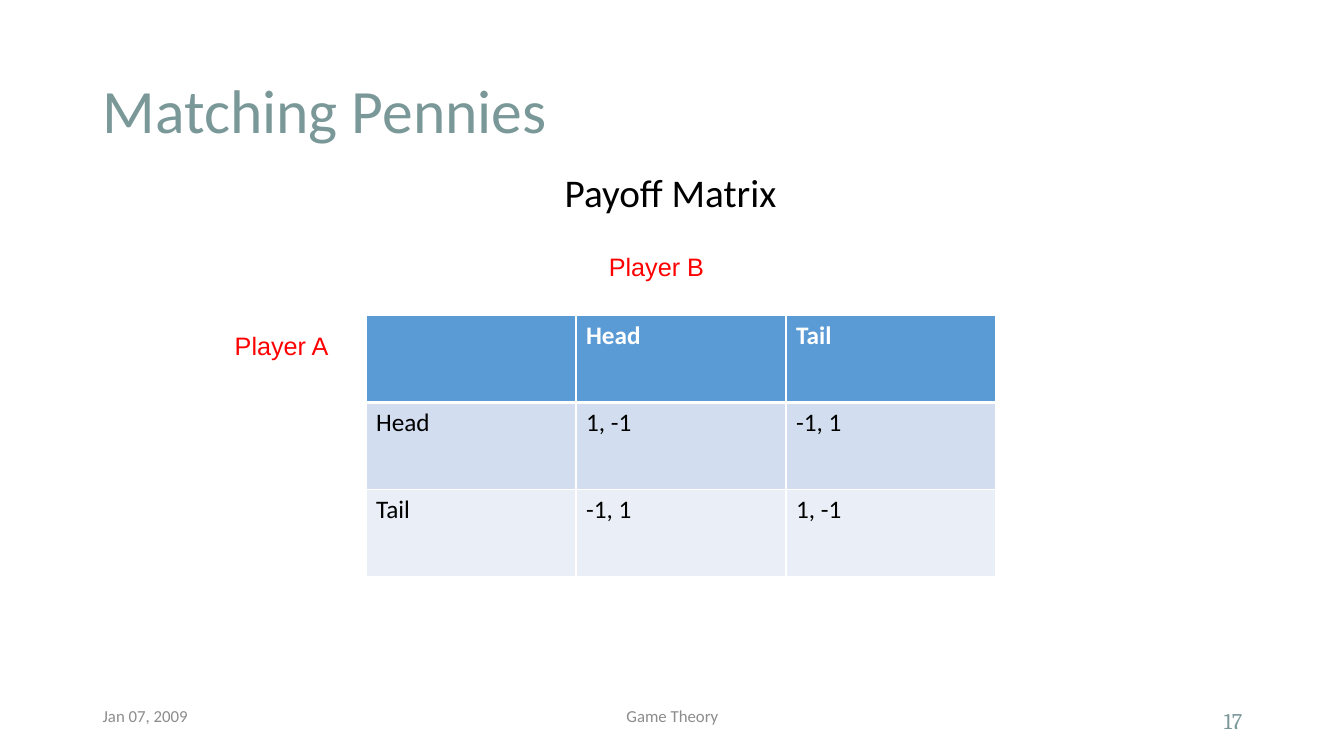
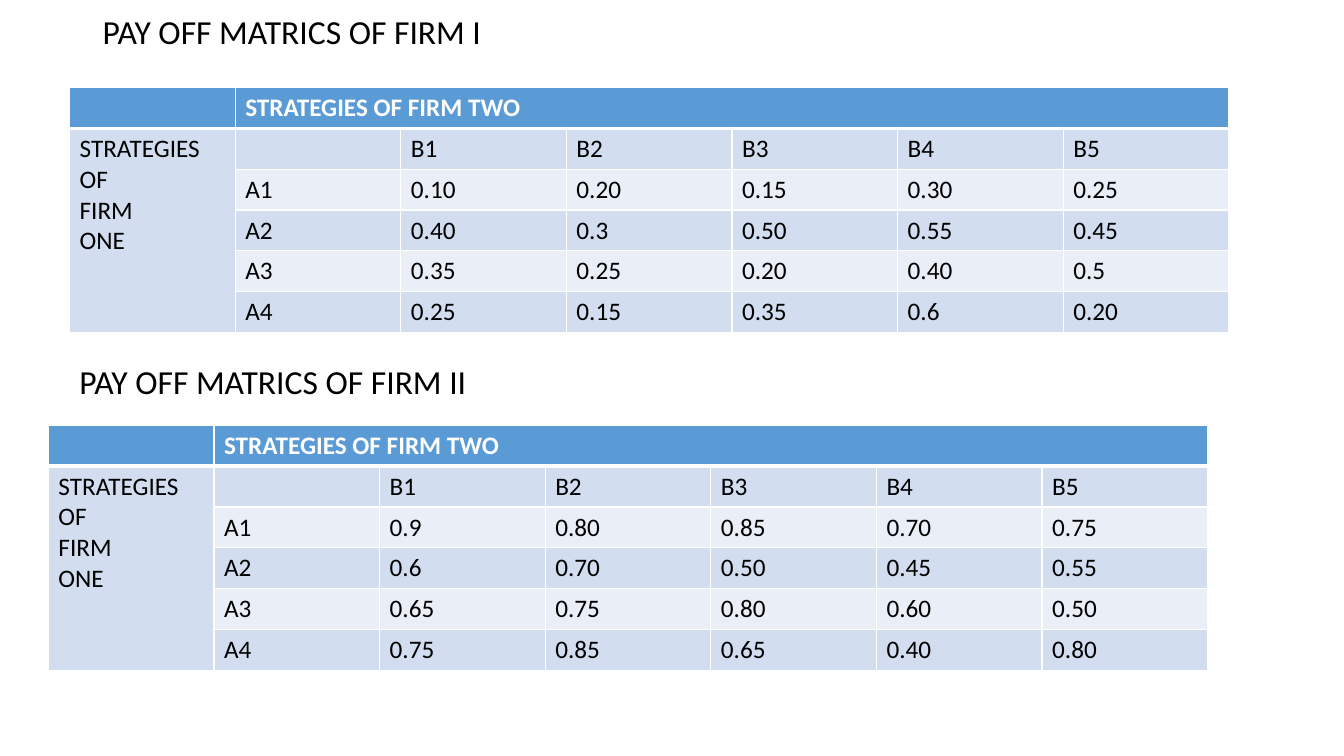
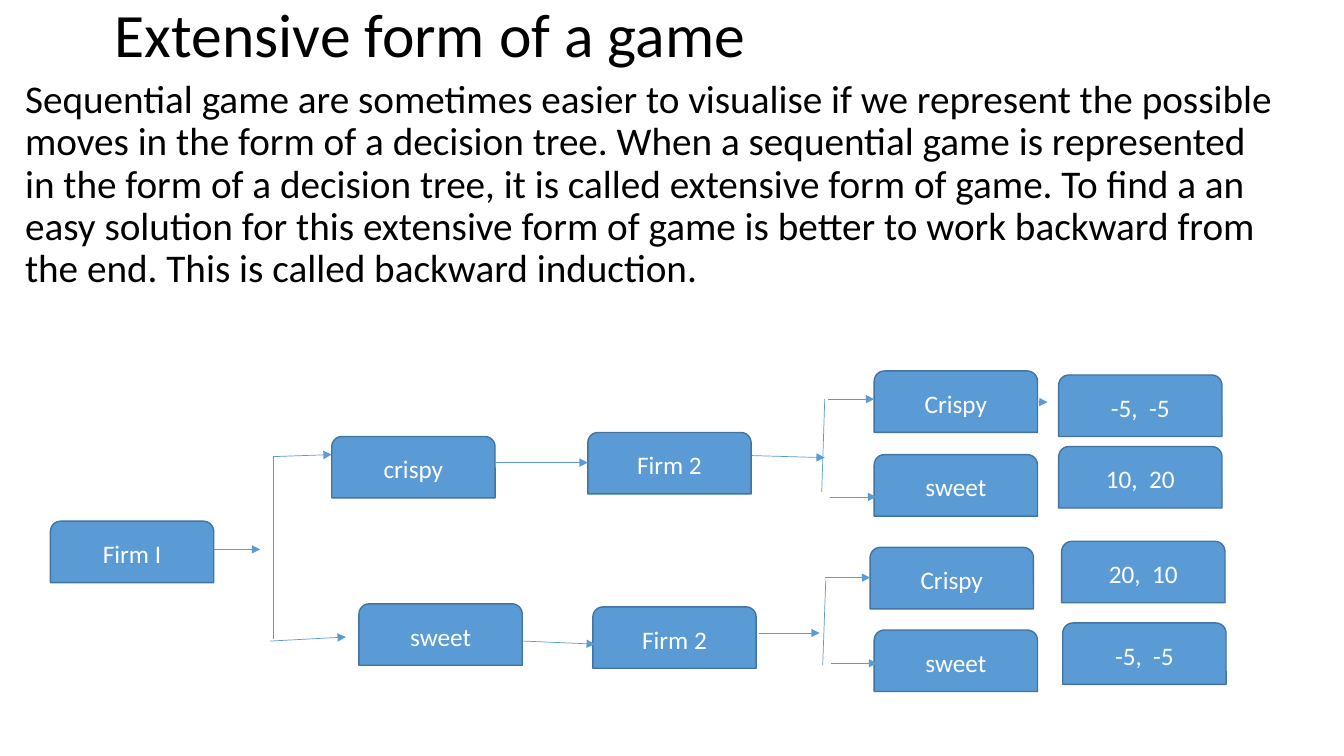
"""Build three game theory slides: two sets of payoff tables and a decision tree."""
from lxml.etree import SubElement
from pptx import Presentation
from pptx.dml.color import RGBColor as RGB
from pptx.enum.shapes import MSO_CONNECTOR as LINK, MSO_SHAPE as SHAPE
from pptx.enum.text import MSO_ANCHOR as ANCHOR, PP_ALIGN as ALIGN
from pptx.oxml.ns import qn
from pptx.util import Pt

PX = 9144
HUES = {
    "title": "7B9899", "foot": "8C8C8C", "ink": "000000", "red": "FF0000",
    "white": "FFFFFF", "blue": "5B9BD5", "edge": "43739E",
    "dark": "D2DEEF", "light": "EAEFF7",
}
COLS = {name: RGB.from_string(code) for name, code in HUES.items()}


def write(slide, area, words, size, hue="ink", face="Calibri", align=ALIGN.LEFT,
          anchor=ANCHOR.TOP, lead=1.0, wrap=True):
    box = slide.shapes.add_textbox(*[n * PX for n in area])
    frame = box.text_frame
    frame.word_wrap = wrap
    frame.vertical_anchor = anchor
    frame.text = words
    para = frame.paragraphs[0]
    para.alignment = align
    para.line_spacing = lead
    para.font.size = Pt(size)
    para.font.name = face
    para.font.color.rgb = COLS[hue]


def grid(slide, area, rows):
    shape = slide.shapes.add_table(len(rows), len(rows[0]), *[n * PX for n in area])
    table = shape.table
    for i, row in enumerate(rows):
        for j, words in enumerate(row):
            cell = table.cell(i, j)
            cell.text = words
            props = cell._tc.get_or_add_tcPr()
            for side in "LRTB":
                thick = (i, side) in ((0, "B"), (1, "T"))
                line = SubElement(props, qn(f"a:ln{side}"), w=str(Pt(3 if thick else 1)))
                fill = SubElement(line, qn("a:solidFill"))
                SubElement(fill, qn("a:srgbClr"), val=HUES["white"])
            cell.fill.solid()
            cell.fill.fore_color.rgb = COLS["blue" if i == 0 else "dark" if i % 2 else "light"]
            for para in cell.text_frame.paragraphs:
                para.font.size = Pt(18)
                para.font.name = "Calibri"
                para.font.bold = i == 0
                para.font.color.rgb = COLS["white" if i == 0 else "ink"]
    return table


deck = Presentation()
deck.slide_width, deck.slide_height = 1333 * PX, 750 * PX
coin, firms, tree = [deck.slides.add_slide(deck.slide_layouts[6]) for _ in range(3)]

for slide, area, words, size, hue in (
    (coin, (92, 40, 1150, 145), "Matching Pennies", 44, "title"),
    (firms, (92, 0, 1150, 66), "PAY OFF MATRICS OF FIRM I", 24, "ink"),
    (tree, (104, -9, 1150, 92), "Extensive form of a game", 44, "ink"),
):
    write(slide, area, words, size, hue, anchor=ANCHOR.MIDDLE, lead=0.9)

write(coin, (92, 695, 300, 40), "Jan 07, 2009", 12, "foot")
write(coin, (442, 695, 450, 40), "Game Theory", 12, "foot", align=ALIGN.CENTER)
write(coin, (942, 695, 300, 40), "17", 16, "title", "Cambria", ALIGN.RIGHT, ANCHOR.MIDDLE)
write(coin, (200, 167, 930, 500), "Payoff Matrix", 28, align=ALIGN.CENTER, lead=0.9)
grid(coin, (363, 313, 625, 259), (
    ("", "Head", "Tail"),
    ("Head", "1, -1", "-1, 1"),
    ("Tail", "-1, 1", "1, -1"),
))
write(coin, (223, 323, 114, 40), "Player A", 18, "red", "Arial", wrap=False)
write(coin, (594, 244, 116, 40), "Player B", 18, "red", "Arial", wrap=False)

write(firms, (69, 353, 1264, 50), "PAY OFF MATRICS OF FIRM II", 24)
for left, top, odds in (
    (69, 87, ("0.10 0.20 0.15 0.30 0.25", "0.40 0.3 0.50 0.55 0.45",
              "0.35 0.25 0.20 0.40 0.5", "0.25 0.15 0.35 0.6 0.20")),
    (48, 422, ("0.9 0.80 0.85 0.70 0.75", "0.6 0.70 0.50 0.45 0.55",
               "0.65 0.75 0.80 0.60 0.50", "0.75 0.85 0.65 0.40 0.80")),
):
    rows = [
        ["", "STRATEGIES OF FIRM TWO"] + [""] * 5,
        ["STRATEGIES\nOF\nFIRM\nONE", "", "B1", "B2", "B3", "B4", "B5"],
    ]
    rows += [["", f"A{n}"] + line.split() for n, line in enumerate(odds, 1)]
    table = grid(firms, (left, top, 1150, 243), rows)
    table.cell(0, 1).merge(table.cell(0, 6))
    table.cell(1, 0).merge(table.cell(5, 0))

write(tree, (15, 74, 1268, 657),
      "Sequential game are sometimes easier to visualise if we represent the possible "
      "moves in the form of a decision tree. When a sequential game is represented in "
      "the form of a decision tree, it is called extensive form of game. To find a an "
      "easy solution for this extensive form of game is better to work backward from "
      "the end. This is called backward induction.", 28, lead=0.9)

for left, top, words in (
    (50, 517, "Firm I"),
    (329, 433, "crispy"), (356, 599, "sweet"),
    (583, 429, "Firm 2"), (588, 602, "Firm 2"),
    (867, 368, "Crispy"), (867, 451, "sweet"),
    (863, 543, "Crispy"), (867, 625, "sweet"),
    (1050, 372, "-5,  -5"), (1050, 443, "10,  20"),
    (1053, 537, "20,  10"), (1054, 618, "-5,  -5"),
):
    node = tree.shapes.add_shape(SHAPE.ROUND_2_SAME_RECTANGLE,
                                 left * PX, top * PX, 162 * PX, 61 * PX)
    node.shadow.inherit = False
    node.fill.solid()
    node.fill.fore_color.rgb = COLS["blue"]
    node.line.color.rgb = COLS["edge"]
    node.line.width = Pt(1)
    frame = node.text_frame
    frame.vertical_anchor = ANCHOR.MIDDLE
    frame.text = words
    para = frame.paragraphs[0]
    para.alignment = ALIGN.CENTER
    para.font.size = Pt(18)
    para.font.name = "Calibri"
    para.font.color.rgb = COLS["white"]

stems = ((271, 452, 271, 634), (818, 396, 815, 488), (819, 576, 816, 660))
arrows = (
    (212, 545, 258, 545), (271, 453, 329, 451), (268, 636, 343, 632),
    (491, 459, 583, 459), (519, 636, 590, 639),
    (746, 452, 818, 454), (753, 628, 813, 628),
    (821, 396, 867, 396), (823, 493, 869, 493),
    (818, 573, 863, 573), (824, 658, 870, 658), (983, 398, 1039, 399),
)
for ends in stems + arrows:
    link = tree.shapes.add_connector(LINK.STRAIGHT, *[n * PX for n in ends])
    link.line.color.rgb = COLS["blue"]
    link.line.width = Pt(0.5)
    props = link._element.spPr
    if ends in arrows:
        SubElement(props.find(qn("a:ln")), qn("a:tailEnd"), type="triangle")
    SubElement(props, qn("a:effectLst"))

deck.save("out.pptx")
